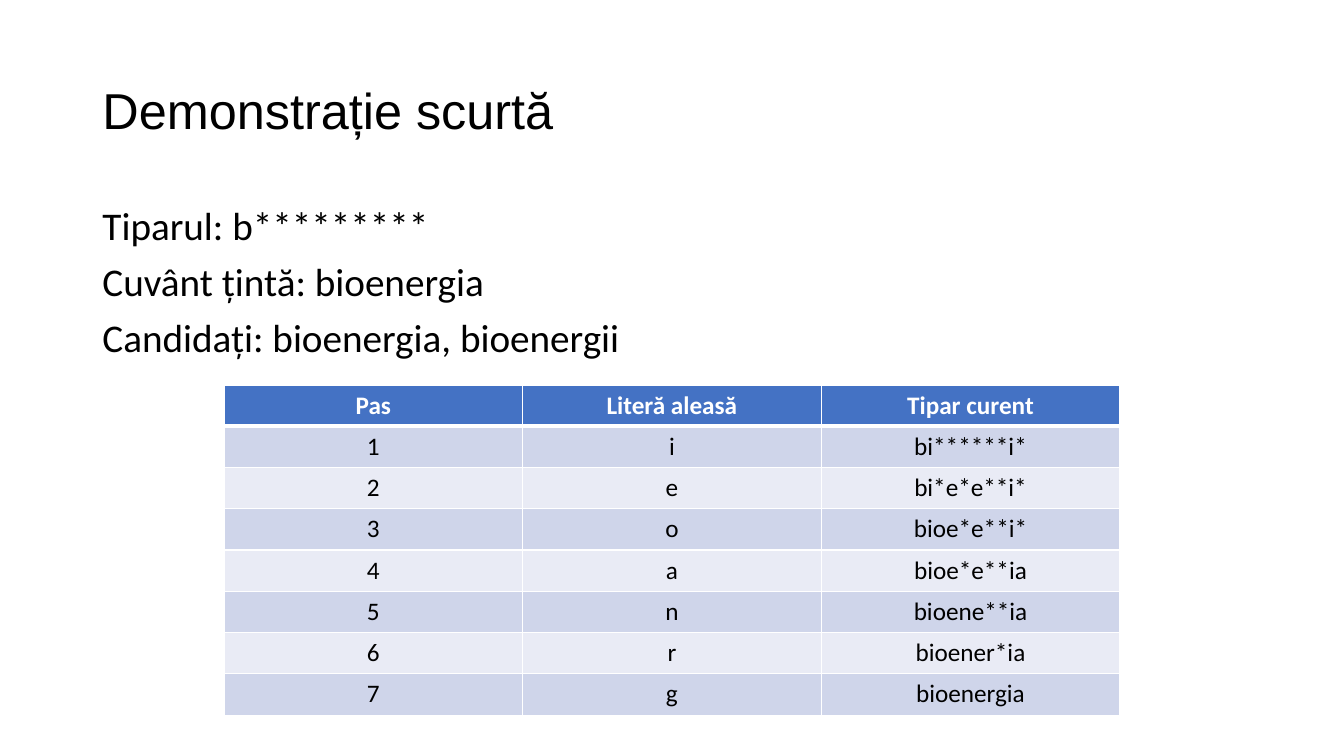
from dataclasses import dataclass

from lxml import etree
from pptx import Presentation
from pptx.dml.color import RGBColor
from pptx.enum import text
from pptx.oxml import ns
from pptx.util import Pt

BLACK = RGBColor(0x00, 0x00, 0x00)
WHITE = RGBColor(0xFF, 0xFF, 0xFF)
HEADER_BLUE = RGBColor(0x44, 0x72, 0xC4)
BAND_DARK = RGBColor(0xCF, 0xD5, 0xEA)
BAND_LIGHT = RGBColor(0xE9, 0xEB, 0xF5)

SLIDE_WIDTH, SLIDE_HEIGHT = 960, 540
TABLE_WIDTH, TABLE_TOP, ROW_HEIGHT = 640, 275, 29.5


@dataclass(frozen=True)
class Step:
    letter: str
    pattern: str


HEADINGS = ("Pas", "Literă aleasă", "Tipar curent")
FACTS = (
    "Tiparul: b*********",
    "Cuvânt țintă: bioenergia",
    "Candidați: bioenergia, bioenergii",
)
STEPS = (
    Step("i", "bi******i*"),
    Step("e", "bi*e*e**i*"),
    Step("o", "bioe*e**i*"),
    Step("a", "bioe*e**ia"),
    Step("n", "bioene**ia"),
    Step("r", "bioener*ia"),
    Step("g", "bioenergia"),
)


def write(paragraph, words: str, *, size: float, font: str = "Calibri",
          color: RGBColor = BLACK, bold: bool = False,
          align=text.PP_ALIGN.LEFT, line_spacing: float = 1.0,
          before: float = 0) -> None:
    paragraph.alignment = align
    paragraph.line_spacing = line_spacing
    paragraph.space_before = Pt(before)
    run = paragraph.add_run()
    run.text = words
    run.font.name = font
    run.font.size = Pt(size)
    run.font.bold = bold
    run.font.color.rgb = color


def place(placeholder, left: float, top: float, width: float, height: float,
          anchor) -> None:
    placeholder.left, placeholder.top = Pt(left), Pt(top)
    placeholder.width, placeholder.height = Pt(width), Pt(height)
    frame = placeholder.text_frame
    frame.word_wrap = True
    frame.auto_size = text.MSO_AUTO_SIZE.NONE
    frame.vertical_anchor = anchor


def remove_bullet(paragraph) -> None:
    properties = paragraph._p.get_or_add_pPr()
    properties.set("marL", "0")
    properties.set("indent", "0")
    etree.SubElement(properties, ns.qn("a:buNone"))


def add_borders(cell, bottom: float) -> None:
    properties = cell._tc.get_or_add_tcPr()
    widths = {"lnL": 1, "lnR": 1, "lnT": 1, "lnB": bottom}
    for position, (side, width) in enumerate(widths.items()):
        line = etree.Element(ns.qn(f"a:{side}"), w=str(Pt(width)))
        fill = etree.SubElement(line, ns.qn("a:solidFill"))
        etree.SubElement(fill, ns.qn("a:srgbClr"), val=str(WHITE))
        properties.insert(position, line)


def add_steps_table(slide) -> None:
    rows = [HEADINGS] + [
        (str(number), step.letter, step.pattern)
        for number, step in enumerate(STEPS, start=1)
    ]
    table = slide.shapes.add_table(
        len(rows), len(HEADINGS), Pt((SLIDE_WIDTH - TABLE_WIDTH) / 2),
        Pt(TABLE_TOP), Pt(TABLE_WIDTH), Pt(ROW_HEIGHT * len(rows))).table
    for row_index, values in enumerate(rows):
        is_header = row_index == 0
        band = BAND_DARK if row_index % 2 else BAND_LIGHT
        for column_index, value in enumerate(values):
            cell = table.cell(row_index, column_index)
            cell.fill.solid()
            cell.fill.fore_color.rgb = HEADER_BLUE if is_header else band
            # The rule under the header is heavier, on both sides of the edge
            add_borders(cell, bottom=3 if is_header else 1)
            write(cell.text_frame.paragraphs[0], value, size=18,
                  color=WHITE if is_header else BLACK, bold=is_header,
                  align=text.PP_ALIGN.CENTER)


def main() -> None:
    deck = Presentation()
    deck.slide_width, deck.slide_height = Pt(SLIDE_WIDTH), Pt(SLIDE_HEIGHT)
    slide = deck.slides.add_slide(deck.slide_layouts[1])

    # Title
    title = slide.shapes.title
    place(title, 66, 28.75, 828, 104.4, text.MSO_ANCHOR.MIDDLE)
    write(title.text_frame.paragraphs[0], "Demonstrație scurtă", size=36,
          font="Arial", line_spacing=0.9)

    # Pattern, target word and candidates
    facts = slide.placeholders[1]
    place(facts, 66, 143.75, 828, 342.6, text.MSO_ANCHOR.TOP)
    frame = facts.text_frame
    for index, fact in enumerate(FACTS):
        paragraph = frame.add_paragraph() if index else frame.paragraphs[0]
        write(paragraph, fact, size=28, line_spacing=0.9, before=10)
        remove_bullet(paragraph)

    # Steps of the game
    add_steps_table(slide)

    deck.save("out.pptx")


if __name__ == "__main__":
    main()
